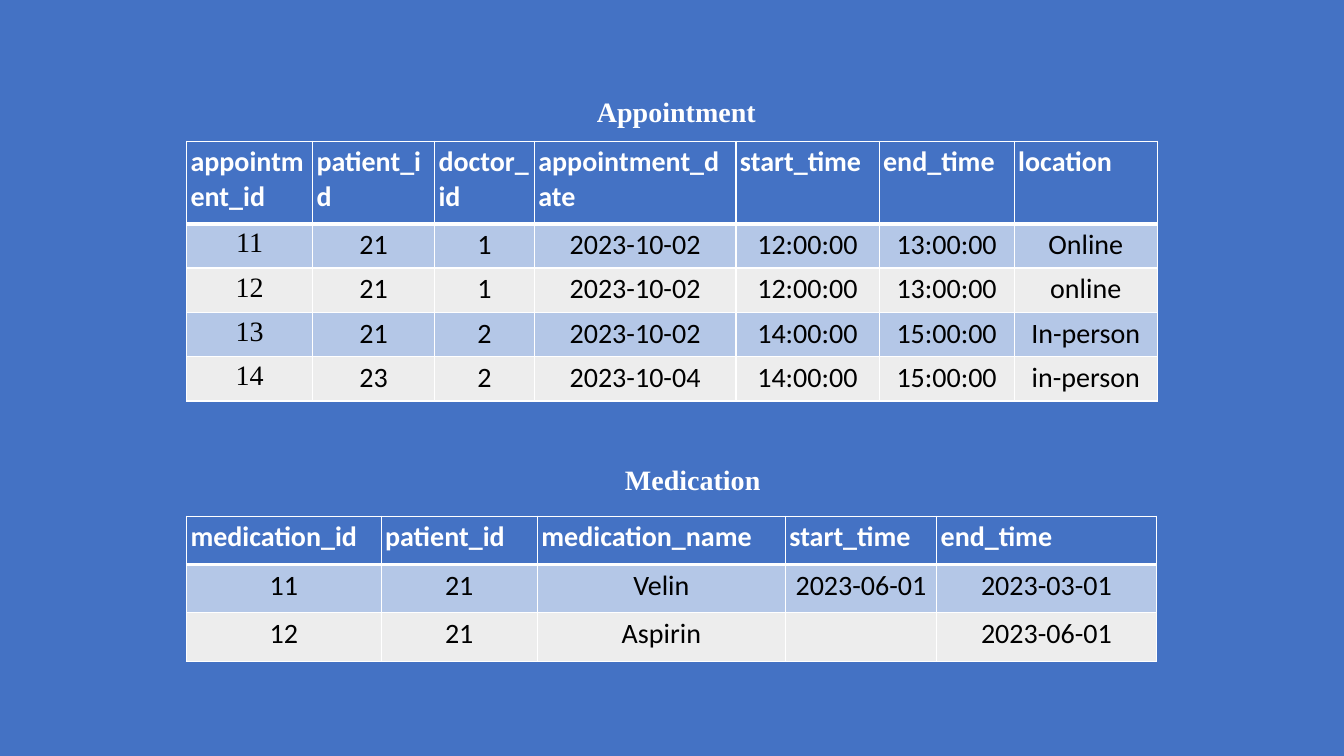
from lxml import etree
from pptx import Presentation
from pptx.dml.color import RGBColor
from pptx.enum.text import MSO_ANCHOR, MSO_AUTO_SIZE, PP_ALIGN
from pptx.oxml.ns import qn
from pptx.util import Inches, Pt

LEFT, CENTER = PP_ALIGN.LEFT, PP_ALIGN.CENTER
TOP = MSO_ANCHOR.TOP
FIT_SHAPE = MSO_AUTO_SIZE.SHAPE_TO_FIT_TEXT
TITLE_ONLY = 5

COLORS = {
    "blue": "4472C4",
    "white": "FFFFFF",
    "black": "000000",
    "odd_row": "B4C7E7",
    "even_row": "EDEDED",
}
SANS, SERIF = "Calibri", "Times New Roman"
TABLE_LEFT = 1.85
CELL_MARGIN = Inches(0.04)
HEADING_SIZE = (3, 0.44)

APPOINTMENTS = [
    ["appointment_id", "patient_id", "doctor_id", "appointment_date",
     "start_time", "end_time", "location"],
    ["11", "21", "1", "2023-10-02", "12:00:00", "13:00:00", "Online"],
    ["12", "21", "1", "2023-10-02", "12:00:00", "13:00:00", "online"],
    ["13", "21", "2", "2023-10-02", "14:00:00", "15:00:00", "In-person"],
    ["14", "23", "2", "2023-10-04", "14:00:00", "15:00:00", "in-person"],
]
MEDICATIONS = [
    ["medication_id", "patient_id", "medication_name", "start_time", "end_time"],
    ["11", "21", "Velin", "2023-06-01", "2023-03-01"],
    ["12", "21", "Aspirin", "", "2023-06-01"],
]


def color(name):
    return RGBColor.from_string(COLORS[name])


def write_text(text_frame, text, font=SANS, size=20, fill="white", bold=False, align=LEFT):
    paragraph = text_frame.paragraphs[0]
    paragraph.alignment = align
    if not text:
        paragraph.font.size = Pt(size)
        return
    run = paragraph.add_run()
    run.text = text
    run.font.name = font
    run.font.size = Pt(size)
    run.font.bold = bold
    run.font.color.rgb = color(fill)


def add_borders(cell, top, bottom):
    properties = cell._tc.get_or_add_tcPr()
    for side, width in (("L", 1), ("R", 1), ("T", top), ("B", bottom)):
        line = etree.SubElement(properties, qn(f"a:ln{side}"), w=str(Pt(width)))
        fill = etree.SubElement(line, qn("a:solidFill"))
        etree.SubElement(fill, qn("a:srgbClr"), val=COLORS["white"])


def place_heading(shape, text, left, top):
    shape.left, shape.top = Inches(left), Inches(top)
    shape.width, shape.height = (Inches(length) for length in HEADING_SIZE)
    text_frame = shape.text_frame
    text_frame.word_wrap = True
    text_frame.auto_size = FIT_SHAPE
    text_frame.vertical_anchor = TOP
    write_text(text_frame, text, font=SERIF, bold=True)


def add_records(slide, records, top, widths, heights, id_font=SANS):
    frame = slide.shapes.add_table(
        len(records), len(widths), Inches(TABLE_LEFT), Inches(top),
        Inches(sum(widths)), Inches(sum(heights)))
    table = frame.table
    for column, width in zip(table.columns, widths):
        column.width = Inches(width)
    for row, height in zip(table.rows, heights):
        row.height = Inches(height)
    for row_index, record in enumerate(records):
        header = row_index == 0
        band = "blue" if header else "odd_row" if row_index % 2 else "even_row"
        for column_index, text in enumerate(record):
            cell = table.cell(row_index, column_index)
            cell.margin_left = cell.margin_right = CELL_MARGIN
            cell.margin_top = cell.margin_bottom = CELL_MARGIN
            add_borders(cell, top=3 if row_index == 1 else 1, bottom=3 if header else 1)
            cell.fill.solid()
            cell.fill.fore_color.rgb = color(band)
            write_text(
                cell.text_frame, text,
                font=id_font if column_index == 0 and not header else SANS,
                fill="white" if header else "black",
                bold=header, align=LEFT if header else CENTER)


def add_appointments(slide, top):
    place_heading(slide.shapes.title, "Appointment", 5.82, top)
    add_records(slide, APPOINTMENTS, top + 0.51,
                [1.25, 1.21, 0.99, 2, 1.42, 1.34, 1.42],
                [0.82] + [0.44] * 4, id_font=SERIF)


def add_medications(slide, top):
    heading = slide.shapes.add_textbox(0, 0, 0, 0)
    place_heading(heading, "Medication", 6.1, top)
    add_records(slide, MEDICATIONS, top + 0.58,
                [1.93, 1.55, 2.46, 1.5, 2.18], [0.48] * 3)


def main():
    presentation = Presentation()
    presentation.slide_width = Inches(13.33)
    presentation.slide_height = Inches(7.5)
    slide = presentation.slides.add_slide(presentation.slide_layouts[TITLE_ONLY])
    slide.background.fill.solid()
    slide.background.fill.fore_color.rgb = color("blue")
    add_appointments(slide, 0.89)
    add_medications(slide, 4.54)
    presentation.save("out.pptx")


if __name__ == "__main__":
    main()
